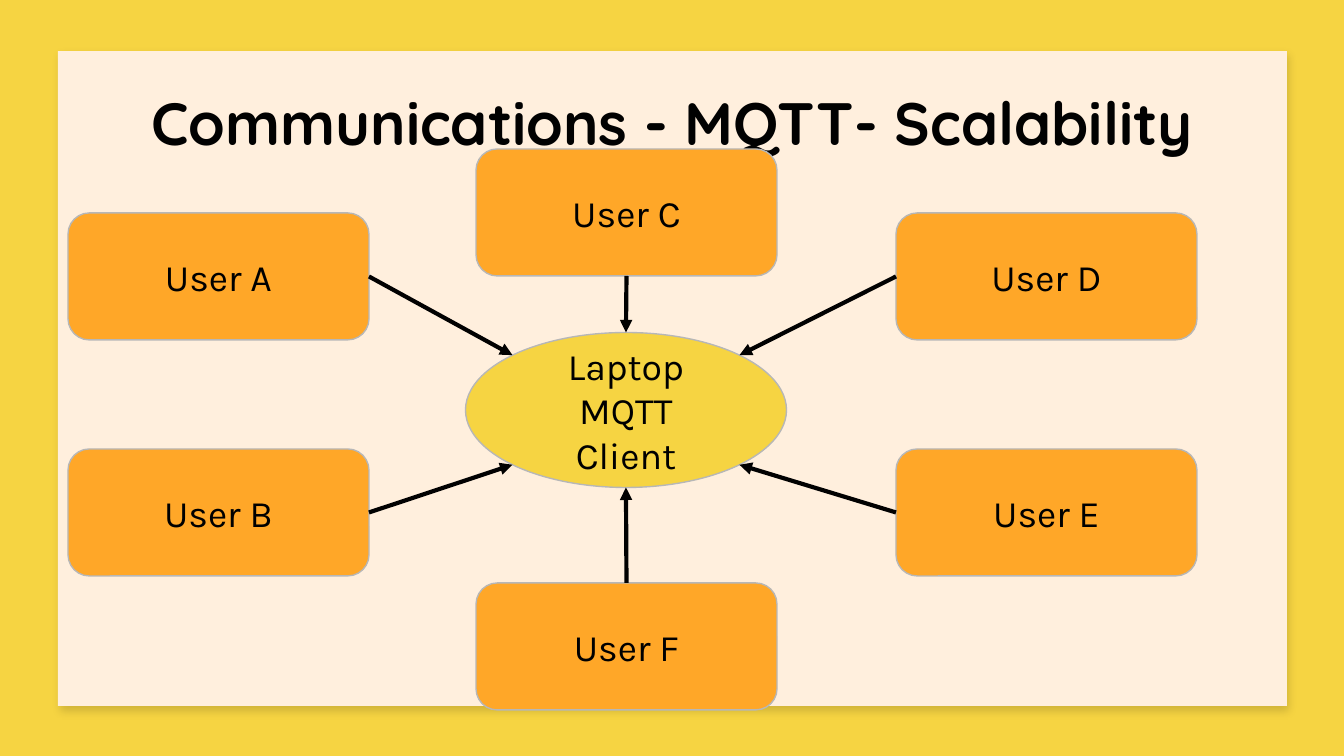
import math

from lxml import etree
from pptx import Presentation, util as u
from pptx.dml.color import RGBColor
from pptx.enum import shapes, text
from pptx.oxml import parse_xml
from pptx.oxml.ns import nsdecls, qn

PX = 914400 / 134.4  # EMU in one px

YELLOW = RGBColor(0xF6, 0xD4, 0x42)
CREAM = RGBColor(0xFF, 0xEF, 0xDD)
ORANGE = RGBColor(0xFF, 0xA7, 0x28)
GREY = RGBColor(0xB7, 0xB7, 0xB7)
INK = RGBColor(0x01, 0x01, 0x01)
BLACK = RGBColor(0x00, 0x00, 0x00)

HUB_X, HUB_Y, HUB_W, HUB_H = 626, 410, 321, 155  # centre and size
USER_W, USER_H = 301, 127
TOP, LEFT, BOTTOM, RIGHT = range(4)  # sides of a rectangle

# Name, left, top, side the arrow leaves from, angle where it meets the hub
USERS = [
    ("User A", 68, 213, RIGHT, 225),
    ("User B", 68, 449, RIGHT, 135),
    ("User F", 476, 583, TOP, 90),
    ("User C", 476, 149, BOTTOM, 270),
    ("User D", 896, 213, LEFT, 315),
    ("User E", 896, 449, LEFT, 45),
]


def emu(*lengths):
    return [u.Emu(round(length * PX)) for length in lengths]


def write(shape, lines, font="Karla", size=20, color=BLACK, bold=False):
    frame = shape.text_frame
    frame.word_wrap = True
    frame.auto_size = text.MSO_AUTO_SIZE.NONE
    frame.vertical_anchor = text.MSO_ANCHOR.MIDDLE
    frame.margin_left = frame.margin_right = u.Inches(0.1)
    frame.margin_top = frame.margin_bottom = u.Inches(0.1)
    frame.text = "\n".join(lines)
    for para in frame.paragraphs:
        para.alignment = text.PP_ALIGN.CENTER
        for span in para.runs:
            span.font.name = font
            span.font.size = u.Pt(size)
            span.font.bold = bold
            span.font.color.rgb = color


def add_block(page, kind, left, top, width, height, fill, line=None):
    block = page.shapes.add_shape(kind, *emu(left, top, width, height))
    block.shadow.inherit = False
    block.fill.solid()
    block.fill.fore_color.rgb = fill
    if line is None:
        block.line.fill.background()
    else:
        block.line.color.rgb = line
        block.line.width = u.Pt(0.75)
    return block


def add_panel(page):
    panel = add_block(page, shapes.MSO_SHAPE.RECTANGLE, 58, 51, 1229, 655, CREAM)
    effects = panel.element.spPr.find(qn("a:effectLst"))
    effects.append(parse_xml(
        f'<a:outerShdw {nsdecls("a")} blurRad="{u.Pt(4.5)}" dist="{u.Pt(3)}" '
        f'dir="{64 * 60000}" algn="bl" rotWithShape="0">'
        '<a:srgbClr val="000000"><a:alpha val="14000"/></a:srgbClr></a:outerShdw>'))
    page.shapes.title.element.addprevious(panel.element)  # behind the title


def add_title(page, wording):
    title = page.shapes.title
    title.left, title.top, title.width, title.height = emu(106, 79, 1133, 85)
    write(title, [wording], font="Quicksand", size=32, color=INK, bold=True)


def add_arrow(page, user, side, angle):
    turn = math.radians(angle)
    end = emu(HUB_X + HUB_W / 2 * math.cos(turn), HUB_Y + HUB_H / 2 * math.sin(turn))
    arrow = page.shapes.add_connector(shapes.MSO_CONNECTOR.STRAIGHT, *end, *end)
    arrow.begin_connect(user, side)
    arrow.line.color.rgb = INK
    arrow.line.width = u.Pt(2.25)
    etree.SubElement(arrow.line._get_or_add_ln(), qn("a:tailEnd"), type="triangle")
    etree.SubElement(arrow.element.spPr, qn("a:effectLst"))


def main():
    deck = Presentation()
    deck.slide_width, deck.slide_height = emu(1344, 756)
    page = deck.slides.add_slide(deck.slide_layouts[5])

    # Background, panel and title
    page.background.fill.solid()
    page.background.fill.fore_color.rgb = YELLOW
    add_panel(page)
    add_title(page, "Communications - MQTT- Scalability")

    # Central client
    hub = add_block(page, shapes.MSO_SHAPE.OVAL, HUB_X - HUB_W / 2, HUB_Y - HUB_H / 2,
                    HUB_W, HUB_H, YELLOW, GREY)
    write(hub, ["Laptop", "MQTT Client"])

    # Users, each with an arrow to the client
    for name, left, top, side, angle in USERS:
        user = add_block(page, shapes.MSO_SHAPE.ROUNDED_RECTANGLE, left, top,
                         USER_W, USER_H, ORANGE, GREY)
        write(user, [name])
        add_arrow(page, user, side, angle)

    deck.save("out.pptx")


if __name__ == "__main__":
    main()
